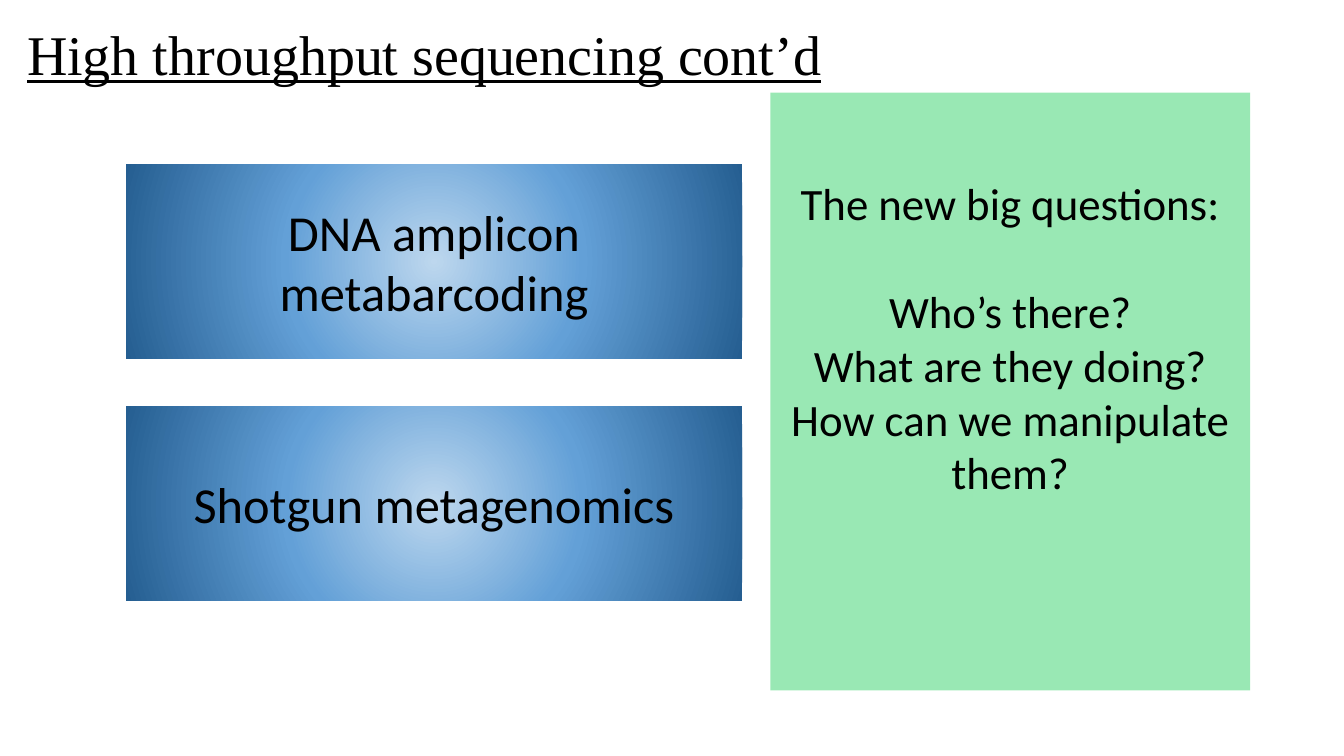
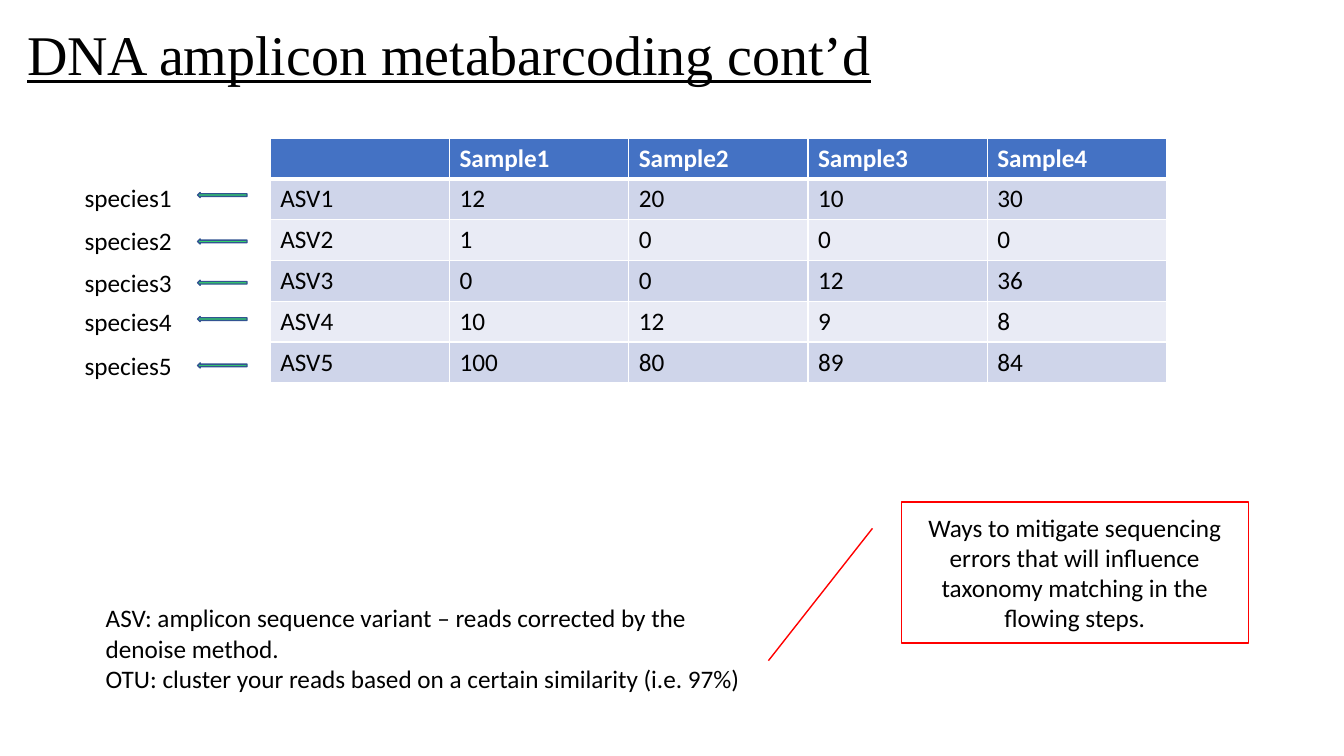
"""Build two slides on high throughput sequencing and amplicon metabarcoding."""
from pptx import Presentation
from pptx import util as u
from pptx.dml.color import RGBColor
from pptx.enum import shapes, text
from pptx.oxml import parse_xml
from pptx.oxml.ns import nsdecls, qn
from pptx.util import Inches, Pt


class Theme:
    black, white, red = "000000", "FFFFFF", "FF0000"
    green, arrow_line = "35D36A", "325491"
    header, bands = "4472C4", ("CFD5EA", "E9EBF5")
    glow = ((0, "BDD7EE"), (46, "63A0D7"), (100, "255E91"))
    body_font, title_font = "Calibri", "Times New Roman"
    title, method, question, body = 40, 36, 32, 18


TITLE_BOX = (0.17, -0.16, 9.5, 1.45)

METHODS_TITLE = "High throughput sequencing cont’d"
METHODS = ["DNA amplicon metabarcoding", "Shotgun metagenomics"]
METHOD_BOX, METHOD_STEP = (1.25, 1.63, 6.11, 1.93), 2.4
QUESTION_BOX, QUESTION_INSET = (7.64, 0.92, 4.76, 5.93), 0.82
QUESTIONS = [
    "The new big questions:",
    "Who’s there?",
    "What are they doing?",
    "How can we manipulate them?",
]

ASV_TITLE = "DNA amplicon metabarcoding cont’d"
ASV_TABLE = [
    ("", "Sample1", "Sample2", "Sample3", "Sample4"),
    ("ASV1", 12, 20, 10, 30),
    ("ASV2", 1, 0, 0, 0),
    ("ASV3", 0, 0, 12, 36),
    ("ASV4", 10, 12, 9, 8),
    ("ASV5", 100, 80, 89, 84),
]
TABLE_BOX = (2.68, 1.37, 8.89, 2.43)
SPECIES = [
    ("species1", 1.76, 1.91),
    ("species2", 2.19, 2.37),
    ("species3", 2.6, 2.78),
    ("species4", 2.99, 3.14),
    ("species5", 3.43, 3.6),
]
DEFINITIONS_BOX = (0.95, 5.93, 6.55, 1.01)
DEFINITIONS = [
    "ASV: amplicon sequence variant – reads corrected by the denoise method.",
    "OTU: cluster your reads based on a certain similarity (i.e. 97%)",
]
CALLOUT_BOX = (8.94, 4.98, 3.44, 1.4)
CALLOUT = "Ways to mitigate sequencing errors that will influence taxonomy matching in the flowing steps."


def rgb(color):
    return RGBColor.from_string(color)


def inches(box):
    return [Inches(v) for v in box]


def add_run(p, words, size, color=Theme.black, font=Theme.body_font):
    r = p.add_run()
    r.text = words
    r.font.size, r.font.name = Pt(size), font
    r.font.color.rgb = rgb(color)
    return r


def write(sp, lines, size, align=None, anchor=text.MSO_ANCHOR.MIDDLE, font=Theme.body_font):
    tf = sp.text_frame
    tf.word_wrap, tf.vertical_anchor = True, anchor
    for i, line in enumerate(lines):
        p = tf.add_paragraph() if i else tf.paragraphs[0]
        p.alignment = align
        add_run(p, line, size, font=font)
    return tf


def add_label(s, box, lines):
    sp = s.shapes.add_textbox(*inches(box))
    tf = write(sp, lines, Theme.body, anchor=text.MSO_ANCHOR.TOP)
    tf.auto_size = text.MSO_AUTO_SIZE.SHAPE_TO_FIT_TEXT


def add_box(s, kind, box, fill=None, line=None):
    sp = s.shapes.add_shape(kind, *inches(box))
    sp.shadow.inherit = False
    if fill:
        sp.fill.solid()
        sp.fill.fore_color.rgb = rgb(fill)
    else:
        sp.fill.background()
    if line:
        sp.line.color.rgb, sp.line.width = rgb(line), Pt(1)
    else:
        sp.line.fill.background()
    return sp


def add_glow(sp):
    stops = "".join(
        f'<a:gs pos="{pos * 1000}"><a:srgbClr val="{color}"/></a:gs>' for pos, color in Theme.glow
    )
    grad = parse_xml(
        f'<a:gradFill {nsdecls("a")} rotWithShape="1"><a:gsLst>{stops}</a:gsLst>'
        '<a:path path="circle"><a:fillToRect l="50000" t="50000" r="50000" b="50000"/></a:path>'
        "</a:gradFill>"
    )
    sp_pr = sp._element.spPr
    sp_pr.replace(sp_pr.find(qn("a:noFill")), grad)


def set_alpha(sp, percent):
    color = sp._element.spPr.find(qn("a:solidFill")).find(qn("a:srgbClr"))
    color.append(parse_xml(f'<a:alpha {nsdecls("a")} val="{percent * 1000}"/>'))


def add_borders(cell, top, bottom):
    tc_pr = cell._tc.get_or_add_tcPr()
    for side, width in (("L", 1), ("R", 1), ("T", top), ("B", bottom)):
        tc_pr.append(parse_xml(
            f'<a:ln{side} {nsdecls("a")} w="{Pt(width)}"><a:solidFill>'
            f'<a:srgbClr val="{Theme.white}"/></a:solidFill></a:ln{side}>'
        ))


def add_table(s, rows, box):
    table = s.shapes.add_table(len(rows), len(rows[0]), *inches(box)).table
    for i, row in enumerate(rows):
        head = i == 0
        for j, value in enumerate(row):
            cell = table.cell(i, j)
            add_borders(cell, 3 if i == 1 else 1, 3 if head else 1)
            cell.fill.solid()
            cell.fill.fore_color.rgb = rgb(Theme.header if head else Theme.bands[(i - 1) % 2])
            if value != "":
                r = add_run(cell.text_frame.paragraphs[0], str(value), Theme.body,
                            Theme.white if head else Theme.black)
                r.font.bold = head


def add_slide(prs, title):
    s = prs.slides.add_slide(prs.slide_layouts[6])
    sp = s.shapes.add_textbox(*inches(TITLE_BOX))
    p = write(sp, [title], Theme.title, font=Theme.title_font).paragraphs[0]
    p.line_spacing = 0.9
    p.runs[0].font.underline = True
    return s


def build_methods(prs):
    s = add_slide(prs, METHODS_TITLE)
    left, top, width, height = METHOD_BOX
    rect, center = shapes.MSO_SHAPE.RECTANGLE, text.PP_ALIGN.CENTER
    for i, method in enumerate(METHODS):
        sp = add_box(s, rect, (left, top + i * METHOD_STEP, width, height))
        add_glow(sp)
        write(sp, [method], Theme.method, center)
    sp = add_box(s, rect, QUESTION_BOX, Theme.green)
    set_alpha(sp, 50)
    tf = write(sp, QUESTIONS, Theme.question, center, text.MSO_ANCHOR.TOP)
    tf.margin_top = Inches(QUESTION_INSET)
    tf.paragraphs[1].space_before = Pt(39)


def build_asv(prs):
    s = add_slide(prs, ASV_TITLE)
    add_table(s, ASV_TABLE, TABLE_BOX)
    add_label(s, DEFINITIONS_BOX, DEFINITIONS)
    for name, label_top, arrow_top in SPECIES:
        sp = add_box(s, shapes.MSO_SHAPE.RIGHT_ARROW, (1.96, arrow_top, 0.49, 0.05),
                     Theme.green, Theme.arrow_line)
        sp.rotation = 180
        add_label(s, (0.74, label_top, 1.22, 0.4), [name])
    sp = add_box(s, shapes.MSO_SHAPE.LINE_CALLOUT_1, CALLOUT_BOX, line=Theme.red)
    write(sp, [CALLOUT], Theme.body, text.PP_ALIGN.CENTER)


def main():
    prs = Presentation()
    prs.slide_width, prs.slide_height = u.Inches(13.33), u.Inches(7.5)
    build_methods(prs)
    build_asv(prs)
    prs.save("out.pptx")


if __name__ == "__main__":
    main()
